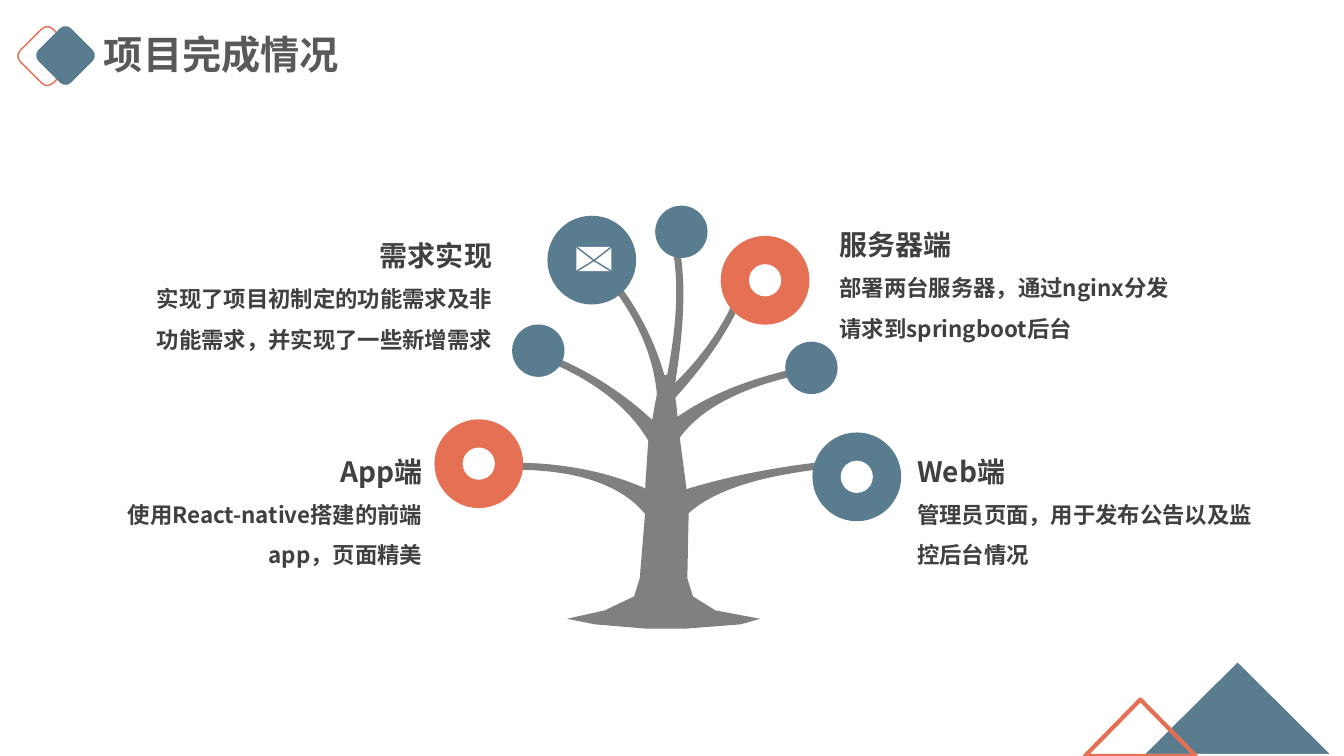
from dataclasses import dataclass
from itertools import product

from lxml.etree import SubElement
from pptx import Presentation
from pptx.dml.color import RGBColor
from pptx.enum.shapes import MSO_CONNECTOR as Connector, MSO_SHAPE as Shape
from pptx.enum.text import MSO_ANCHOR as Anchor, MSO_AUTO_SIZE as AutoSize, PP_ALIGN as Align
from pptx.oxml.ns import qn
from pptx.util import Pt

FONT = "Noto Sans CJK SC"
COLOURS = {
    "blue": "597C8F", "orange": "E67054", "trunk": "808080",
    "title": "595959", "text": "404040", "white": "FFFFFF",
}
BIG, SMALL, DOT = 63.4, 37.4, 23
CURVE_STEPS = 16

Point = tuple[float, float]


@dataclass
class Mark:
    kind: Shape
    left: float
    top: float
    width: float
    height: float
    fill: str = ""
    line: str = ""
    line_width: float = 0
    rotation: float = 0


@dataclass
class Leaf:
    left: float
    top: float
    size: float
    fill: str
    dotted: bool = False


@dataclass
class Branch:
    tip: Point
    bend: Point
    base: Point
    base_width: float


@dataclass
class Note:
    left: float
    top: float
    width: float
    align: Align
    heading: str
    body: str


TITLE_DIAMONDS = [
    Mark(Shape.ROUNDED_RECTANGLE, 17.3, 23.6, 33, 33, line="orange", line_width=1, rotation=45),
    Mark(Shape.ROUNDED_RECTANGLE, 30.3, 23.2, 33, 33, fill="blue", rotation=45),
]
CORNER_TRIANGLES = [
    Mark(Shape.ISOSCELES_TRIANGLE, 814.5, 471, 139, 69, fill="blue", line="white", line_width=3),
    Mark(Shape.ISOSCELES_TRIANGLE, 775, 499.7, 79.2, 40.3, line="orange", line_width=3),
]
ENVELOPE = Mark(Shape.RECTANGLE, 411.8, 176.4, 25, 17.4, fill="white")
LEAVES = [
    Leaf(468, 146.9, SMALL, "blue"),
    Leaf(391, 154.1, BIG, "blue"),
    Leaf(514.8, 168.5, BIG, "orange", dotted=True),
    Leaf(310.3, 299.5, BIG, "orange", dotted=True),
    Leaf(580.3, 308.9, BIG, "blue", dotted=True),
    Leaf(365.8, 231.8, SMALL, "blue"),
    Leaf(560.9, 244.1, SMALL, "blue"),
]
# Height, left edge and right edge of the trunk, from top to foot
TRUNK = [
    (268, 472, 480), (288, 468, 483), (316, 463, 486), (346, 461, 490), (364, 461, 492),
    (413, 457, 491), (426, 453, 495), (436, 432, 511), (442, 405, 543), (446, 425, 529), (449, 461, 490),
]
TIP_WIDTH = 5
BRANCHES = [
    Branch((370, 333), (434, 334), (468, 362), 18),
    Branch((602, 331), (524, 338), (486, 360), 18),
    Branch((385, 253), (440, 274), (469, 312), 13),
    Branch((582, 263), (512, 276), (481, 308), 13),
    Branch((439, 203), (468, 241), (474, 284), 9),
    Branch((483, 178), (490, 216), (478, 278), 7),
    Branch((526, 217), (510, 251), (479, 282), 8),
]
NOTES = [
    Note(90, 154.8, 268.6, Align.RIGHT, "需求实现", "实现了项目初制定的功能需求及非功能需求，并实现了一些新增需求"),
    Note(51.8, 308.9, 257, Align.RIGHT, "App端", "使用React-native搭建的前端app，页面精美"),
    Note(648, 308.9, 259.9, Align.LEFT, "Web端", "管理员页面，用于发布公告以及监控后台情况"),
    Note(592.6, 146.9, 259.9, Align.LEFT, "服务器端", "部署两台服务器，通过nginx分发请求到springboot后台"),
]


def colour(name: str) -> RGBColor:
    return RGBColor.from_string(COLOURS[name])


def paint(shape, fill: str = "", line: str = "", line_width: float = 0) -> None:
    """Set the fill and line of a shape; an empty colour means none."""
    shape.shadow.inherit = False
    if fill:
        shape.fill.solid()
        shape.fill.fore_color.rgb = colour(fill)
    else:
        shape.fill.background()
    if line:
        shape.line.color.rgb = colour(line)
        shape.line.width = Pt(line_width)
    else:
        shape.line.fill.background()


def add_mark(page, mark: Mark) -> None:
    shape = page.shapes.add_shape(mark.kind, Pt(mark.left), Pt(mark.top), Pt(mark.width), Pt(mark.height))
    shape.rotation = mark.rotation
    paint(shape, mark.fill, mark.line, mark.line_width)


def add_disc(page, left: float, top: float, size: float, fill: str) -> None:
    add_mark(page, Mark(Shape.OVAL, left, top, size, size, fill))


def add_outline(page, points: list[Point], fill: str) -> None:
    corners = [(Pt(x), Pt(y)) for x, y in points]
    builder = page.shapes.build_freeform(*corners[0])
    builder.add_line_segments(corners[1:])
    paint(builder.convert_to_shape(), fill)


def add_trunk(page) -> None:
    left_side = [(left, y) for y, left, _ in TRUNK]
    right_side = [(right, y) for y, _, right in TRUNK]
    add_outline(page, left_side + right_side[::-1], "trunk")


def add_branch(page, branch: Branch) -> None:
    """Draw a quadratic curve that widens towards its base."""
    (x0, y0), (x1, y1), (x2, y2) = branch.tip, branch.bend, branch.base
    one_side, other_side = [], []
    for step in range(CURVE_STEPS + 1):
        t = step / CURVE_STEPS
        s = 1 - t
        x = s * s * x0 + 2 * s * t * x1 + t * t * x2
        y = s * s * y0 + 2 * s * t * y1 + t * t * y2
        slope = complex(s * (x1 - x0) + t * (x2 - x1), s * (y1 - y0) + t * (y2 - y1))
        half = (TIP_WIDTH + (branch.base_width - TIP_WIDTH) * t**3) / 2
        normal = slope / abs(slope) * 1j * half
        one_side.append((x + normal.real, y + normal.imag))
        other_side.append((x - normal.real, y - normal.imag))
    add_outline(page, one_side + other_side[::-1], "trunk")


def add_envelope(page) -> None:
    """Draw a sheet with folds running from its corners to its centre."""
    add_mark(page, ENVELOPE)
    right, bottom = ENVELOPE.left + ENVELOPE.width, ENVELOPE.top + ENVELOPE.height
    centre = Pt((ENVELOPE.left + right) / 2), Pt((ENVELOPE.top + bottom) / 2 + 1)
    for x, y in product((ENVELOPE.left, right), (ENVELOPE.top, bottom)):
        fold = page.shapes.add_connector(Connector.STRAIGHT, Pt(x), Pt(y), *centre)
        fold.line.color.rgb = colour("blue")
        fold.line.width = Pt(1)
        SubElement(fold._element.spPr, qn("a:effectLst"))


def style(para, size: float, ink: str, align: Align, spacing: float) -> None:
    para.alignment, para.line_spacing = align, spacing
    font = para.font
    font.name, font.size, font.bold = FONT, Pt(size), True
    font.color.rgb = colour(ink)
    SubElement(para._p.pPr.find(qn("a:defRPr")), qn("a:ea")).set("typeface", FONT)


def add_title(page, text: str) -> None:
    title = page.shapes.title
    title.left, title.top, title.width, title.height = Pt(67), Pt(18), Pt(184.3), Pt(41)
    frame = title.text_frame
    frame.text = text
    frame.word_wrap, frame.auto_size = False, AutoSize.NONE
    frame.vertical_anchor = Anchor.MIDDLE
    style(frame.paragraphs[0], 28, "title", Align.LEFT, 1)


def add_note(page, note: Note) -> None:
    box = page.shapes.add_textbox(Pt(note.left), Pt(note.top), Pt(note.width), Pt(98.6))
    frame = box.text_frame
    frame.word_wrap, frame.auto_size = True, AutoSize.SHAPE_TO_FIT_TEXT
    frame.text = f"{note.heading}\n{note.body}"
    for para, size in zip(frame.paragraphs, (20, 16)):
        style(para, size, "text", note.align, 1.5)


def main() -> None:
    deck = Presentation()
    deck.slide_width, deck.slide_height = Pt(960), Pt(540)
    page = deck.slides.add_slide(deck.slide_layouts[5])

    # Title with its diamonds
    for diamond in TITLE_DIAMONDS:
        add_mark(page, diamond)
    add_title(page, "项目完成情况")

    # Tree, leaves and what they hold
    add_trunk(page)
    for branch in BRANCHES:
        add_branch(page, branch)
    for leaf in LEAVES:
        add_disc(page, leaf.left, leaf.top, leaf.size, leaf.fill)
        if leaf.dotted:
            inset = (leaf.size - DOT) / 2
            add_disc(page, leaf.left + inset, leaf.top + inset, DOT, "white")
    add_envelope(page)

    # Notes beside the tree
    for note in NOTES:
        add_note(page, note)

    # Corner decoration
    for triangle in CORNER_TRIANGLES:
        add_mark(page, triangle)

    deck.save("out.pptx")


if __name__ == "__main__":
    main()
